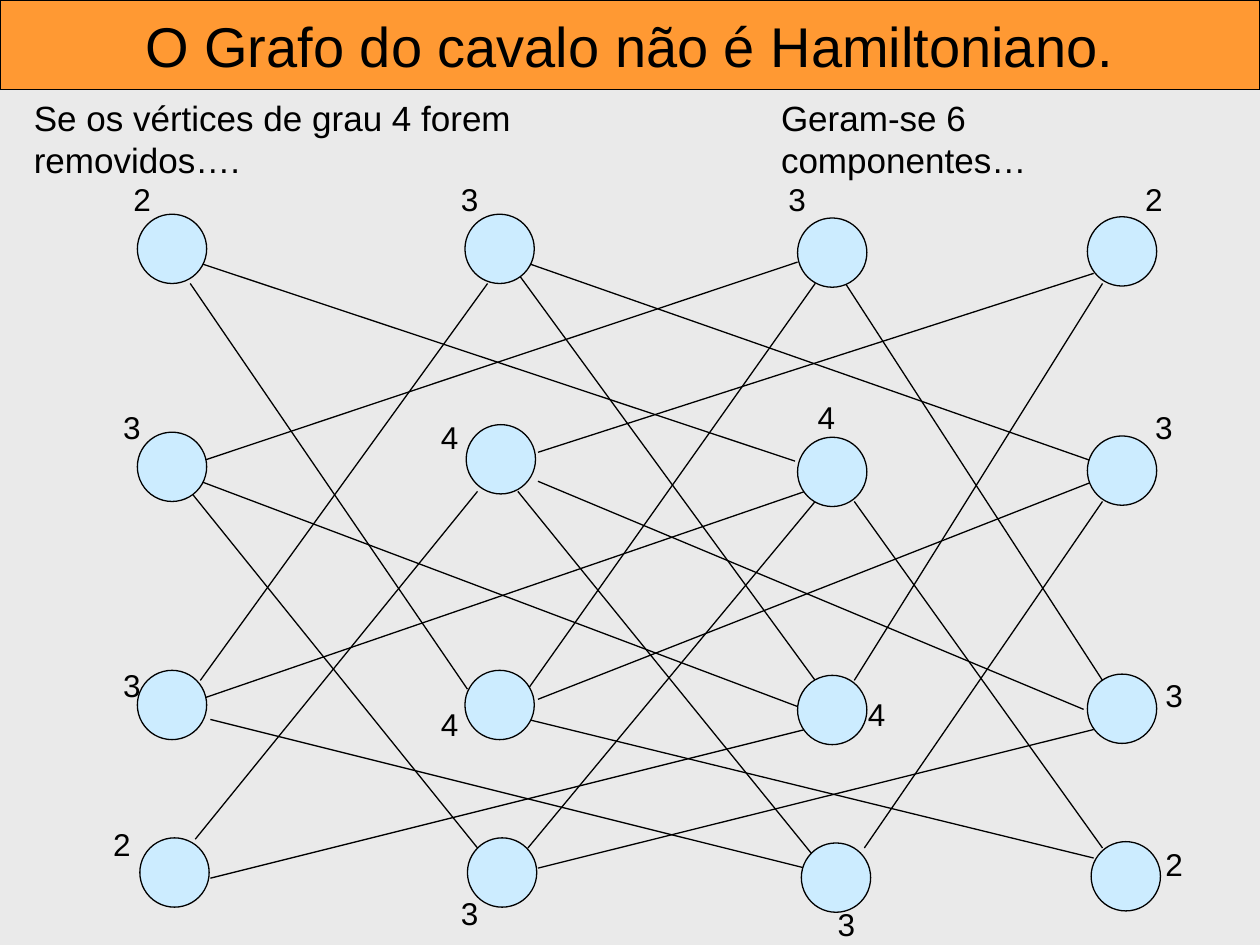
from pptx import Presentation
from pptx.dml.color import RGBColor
from pptx.enum.shapes import MSO_CONNECTOR, MSO_SHAPE
from pptx.enum.text import MSO_ANCHOR, MSO_AUTO_SIZE, PP_ALIGN
from pptx.oxml.ns import qn
from pptx.util import Inches, Pt
from lxml.etree import SubElement

# Content
TITLE = "O Grafo do cavalo não é Hamiltoniano."
NOTES = [  # text, left, width
    ("Se os vértices de grau 4 forem removidos….", 0.17, 5.7),
    ("Geram-se 6 componentes…", 6.1, 3.69),
]
VERTICES = [  # degree, circle (left, top), label (left, top)
    (2, (1.09, 1.7), (0.96, 1.38)),
    (3, (3.69, 1.7), (3.56, 1.38)),
    (3, (6.33, 1.73), (6.16, 1.38)),
    (2, (8.63, 1.72), (8.99, 1.38)),
    (3, (1.09, 3.43), (0.88, 3.19)),
    (4, (3.7, 3.37), (3.4, 3.27)),
    (4, (6.33, 3.47), (6.39, 3.11)),
    (3, (8.63, 3.46), (9.07, 3.19)),
    (3, (1.09, 5.32), (0.88, 5.24)),
    (4, (3.69, 5.32), (3.4, 5.55)),
    (4, (6.33, 5.36), (6.79, 5.47)),
    (3, (8.63, 5.35), (9.15, 5.32)),
    (2, (1.11, 6.65), (0.8, 6.5)),
    (3, (3.71, 6.65), (3.56, 7.05)),
    (3, (6.36, 6.69), (6.55, 7.13)),
    (2, (8.66, 6.68), (9.15, 6.66)),
]
EDGES = [  # knight moves: x1, y1, x2, y2
    (1.59, 2.09, 6.31, 3.66), (1.51, 2.25, 3.71, 5.47),
    (1.6, 3.66, 6.33, 2.08), (1.59, 3.82, 6.39, 5.63),
    (1.51, 3.9, 3.79, 6.73), (1.59, 5.55, 6.39, 3.9),
    (1.59, 5.4, 3.87, 2.25), (1.67, 6.97, 6.39, 5.79),
    (1.55, 6.66, 3.79, 3.9), (4.19, 6.73, 6.47, 3.98),
    (4.27, 6.89, 8.68, 5.79), (4.19, 5.47, 6.47, 2.25),
    (4.11, 2.17, 6.47, 5.4), (4.11, 3.9, 6.47, 6.81),
    (6.71, 2.25, 8.75, 5.4), (8.75, 2.25, 6.78, 5.4),
    (8.68, 2.17, 4.27, 3.59), (6.86, 6.73, 8.75, 3.98),
    (6.78, 3.98, 8.75, 6.73), (8.67, 3.66, 4.19, 2.09),
    (8.68, 3.82, 4.27, 5.55), (8.6, 5.63, 4.27, 3.82),
    (1.67, 5.71, 6.39, 6.89), (4.19, 5.71, 8.68, 6.81),
]
DIAMETER = 0.55
LABEL_SIZE = (0.34, 0.4)

THEME = {
    "font": "Arial", "ink": RGBColor(0, 0, 0),
    "background": RGBColor(0xEA, 0xEA, 0xEA),
    "band": RGBColor(0xFF, 0x99, 0x33),
    "vertex": RGBColor(0xCC, 0xEC, 0xFF),
    "title": Pt(32), "note": Pt(20), "label": Pt(18), "line": Pt(0.75),
}


def style_line(line):
    line.color.rgb = THEME["ink"]
    line.width = THEME["line"]


def write(sp, text, size, **frame):
    tf = sp.text_frame
    for name, value in {"word_wrap": False, **frame}.items():
        setattr(tf, name, value)
    p = tf.paragraphs[0]
    p.alignment = PP_ALIGN.LEFT
    r = p.add_run()
    r.text = text
    fmt = {"name": THEME["font"], "size": THEME[size]}
    for name, value in fmt.items():
        setattr(r.font, name, value)
    r.font.color.rgb = THEME["ink"]
    return p


def add_shape(shapes, kind, box, fill):
    sp = shapes.add_shape(kind, *map(Inches, box))
    sp.shadow.inherit = False
    sp.fill.solid()
    sp.fill.fore_color.rgb = THEME[fill]
    style_line(sp.line)
    return sp


def add_text(shapes, text, box, size):
    sp = shapes.add_textbox(*map(Inches, box))
    write(sp, text, size, auto_size=MSO_AUTO_SIZE.SHAPE_TO_FIT_TEXT)


prs = Presentation()
prs.slide_width, prs.slide_height = Inches(10), Inches(7.5)
s = prs.slides.add_slide(prs.slide_layouts[6])
s.background.fill.solid()
s.background.fill.fore_color.rgb = THEME["background"]

# Edges
for edge in EDGES:
    cxn = s.shapes.add_connector(MSO_CONNECTOR.STRAIGHT, *map(Inches, edge))
    style_line(cxn.line)
    SubElement(cxn._element.spPr, qn("a:effectLst"))

# Vertices, each grouped with its degree
for degree, circle, label in VERTICES:
    group = s.shapes.add_group_shape()
    add_shape(group.shapes, MSO_SHAPE.OVAL, (*circle, DIAMETER, DIAMETER), "vertex")
    add_text(group.shapes, str(degree), (*label, *LABEL_SIZE), "label")

# Notes
for text, left, width in NOTES:
    add_text(s.shapes, text, (left, 0.72, width, 0.44), "note")

# Title band
band = add_shape(s.shapes, MSO_SHAPE.RECTANGLE, (0, 0, 10, 0.71), "band")
p = write(band, TITLE, "title", vertical_anchor=MSO_ANCHOR.MIDDLE)
p.alignment = PP_ALIGN.CENTER

prs.save("out.pptx")
